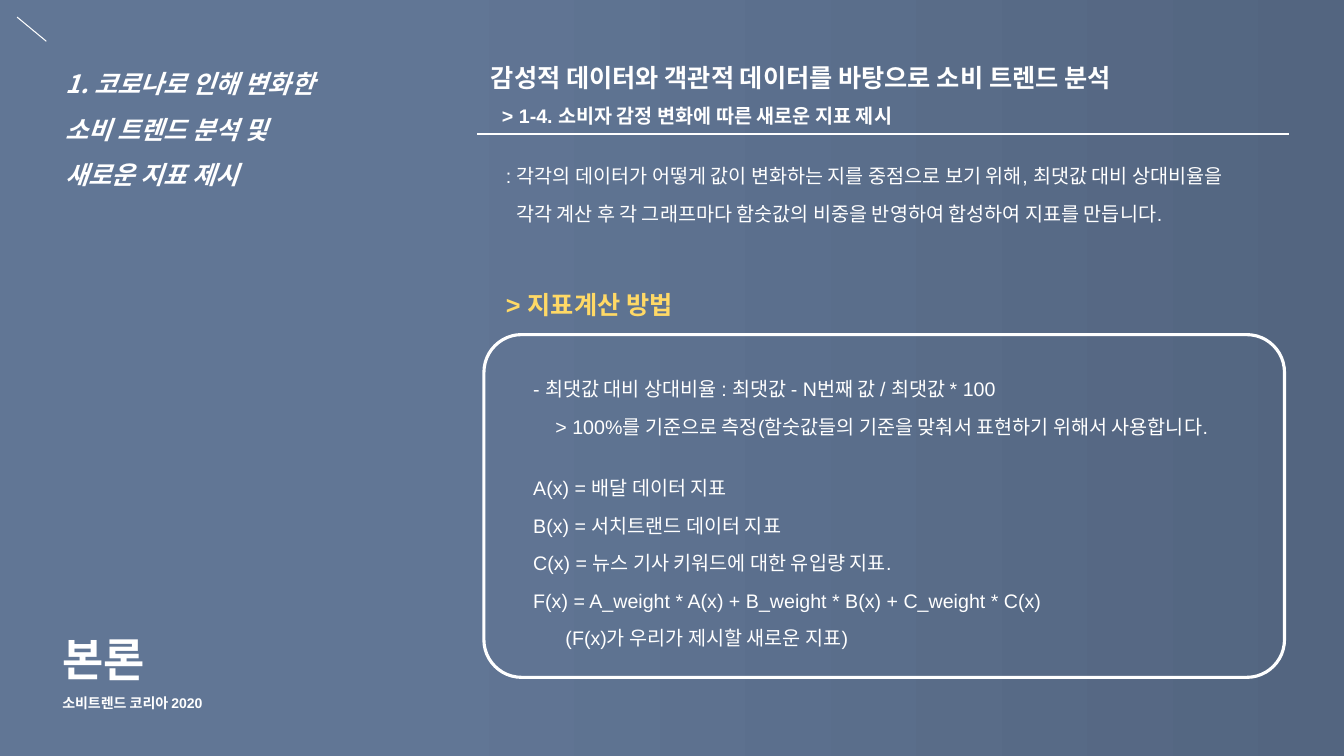
from dataclasses import dataclass

from lxml import etree
from pptx import Presentation
from pptx import util as u
from pptx.dml.color import RGBColor
from pptx.enum import shapes, text
from pptx.oxml import ns


@dataclass(frozen=True)
class Theme:
    white: RGBColor = RGBColor(0xFF, 0xFF, 0xFF)
    yellow: RGBColor = RGBColor(0xFF, 0xD9, 0x66)
    back_light: RGBColor = RGBColor(0x61, 0x76, 0x95)
    back_dark: RGBColor = RGBColor(0x53, 0x65, 0x80)
    chapter: int = 32
    heading: int = 18
    body: int = 14
    caption: int = 10
    latin: str = "Arial"
    korean: str = "Noto Sans CJK KR"


THEME = Theme()
BODY = {"size": THEME.body, "spacing": 1.6, "align": text.PP_ALIGN.JUSTIFY}
HEADING = {"size": THEME.heading, "spacing": 1.5, "bold": True}


def set_background(slide):
    fill = slide.background.fill
    fill.gradient()
    fill.gradient_angle = 0
    stops = [(0.3, THEME.back_light), (1.0, THEME.back_dark)]
    for stop, (position, color) in zip(fill.gradient_stops, stops):
        stop.position = position
        stop.color.rgb = color


def add_line(slide, start, end, width):
    points = [u.Inches(value) for value in (*start, *end)]
    line = slide.shapes.add_connector(shapes.MSO_CONNECTOR.STRAIGHT, *points)
    line.line.color.rgb = THEME.white
    line.line.width = u.Pt(width)
    etree.SubElement(line._element.spPr, ns.qn("a:effectLst"))


def add_frame(slide, box, radius, width):
    shape = slide.shapes.add_shape(
        shapes.MSO_SHAPE.ROUNDED_RECTANGLE, *map(u.Inches, box))
    shape.adjustments[0] = radius
    shape.shadow.inherit = False
    shape.fill.background()
    shape.line.color.rgb = THEME.white
    shape.line.width = u.Pt(width)


def format_run(run, style):
    values = {
        "name": style.get("font", THEME.latin),
        "size": u.Pt(style["size"]),
        "bold": style.get("bold", False),
        "italic": style.get("italic", False),
    }
    for name, value in values.items():
        setattr(run.font, name, value)
    run.font.color.rgb = style.get("color", THEME.white)
    east_asian = etree.SubElement(run.font._element, ns.qn("a:ea"))
    east_asian.set("typeface", THEME.korean)


def add_text(slide, box, lines):
    """Each line is a pair: its wording and its style."""
    frame = slide.shapes.add_textbox(*map(u.Inches, box)).text_frame
    frame.word_wrap = True
    frame.auto_size = text.MSO_AUTO_SIZE.SHAPE_TO_FIT_TEXT
    for index, (wording, style) in enumerate(lines):
        paragraph = frame.add_paragraph() if index else frame.paragraphs[0]
        paragraph.text = wording
        values = {
            "alignment": style.get("align", text.PP_ALIGN.LEFT),
            "line_spacing": style.get("spacing", 1.0),
            "space_before": u.Pt(style.get("before", 0)),
        }
        for name, value in values.items():
            setattr(paragraph, name, value)
        indent = u.Inches(style.get("indent", 0))
        paragraph._p.get_or_add_pPr().set("marL", str(indent))
        for run in paragraph.runs:
            format_run(run, style)


def main():
    presentation = Presentation()
    presentation.slide_width = u.Inches(13.33)
    presentation.slide_height = u.Inches(7.5)
    slide = presentation.slides.add_slide(presentation.slide_layouts[6])
    set_background(slide)

    # Left column: topic and chapter
    add_line(slide, (0.17, 0.17), (0.46, 0.41), 0.75)
    add_text(slide, (0.55, 0.48, 3.26, 1.41), [
        ("1. 코로나로 인해 변화한\v소비 트렌드 분석 및\v새로운 지표 제시",
         {**HEADING, "italic": True, "font": THEME.korean}),
    ])
    add_text(slide, (0.52, 6.22, 3.16, 0.87), [
        ("본론", {"size": THEME.chapter, "bold": True}),
        ("소비트렌드 코리아 2020", {**HEADING, "size": THEME.caption}),
    ])

    # Heading and introduction
    add_text(slide, (4.77, 0.42, 7.98, 0.87), [
        ("감성적 데이터와 객관적 데이터를 바탕으로 소비 트렌드 분석", HEADING),
        ("> 1-4. 소비자 감정 변화에 따른 새로운 지표 제시",
         {**HEADING, "size": THEME.body, "indent": 0.11}),
    ])
    add_line(slide, (4.73, 1.33), (12.78, 1.33), 1.5)
    add_text(slide, (4.92, 1.44, 7.86, 0.82), [
        (": 각각의 데이터가 어떻게 값이 변화하는 지를 중점으로 보기 위해, 최댓값 대비 상대비율을", BODY),
        ("각각 계산 후 각 그래프마다 함숫값의 비중을 반영하여 합성하여 지표를 만듭니다.",
         {**BODY, "indent": 0.1}),
    ])

    # Calculation method
    add_frame(slide, (4.8, 3.32, 7.94, 3.4), 0.11, 2.25)
    add_text(slide, (4.92, 2.67, 2.3, 0.51), [
        ("> 지표계산 방법", {**HEADING, "color": THEME.yellow}),
    ])
    add_text(slide, (5.19, 3.55, 7.62, 2.94), [
        ("- 최댓값 대비 상대비율 : 최댓값 - N번째 값 / 최댓값 * 100", BODY),
        ("> 100%를 기준으로 측정(함숫값들의 기준을 맞춰서 표현하기 위해서 사용합니다.",
         {**BODY, "indent": 0.22}),
        ("A(x) = 배달 데이터 지표", {**BODY, "before": 17}),
        ("B(x) = 서치트랜드 데이터 지표", BODY),
        ("C(x) = 뉴스 기사 키워드에 대한 유입량 지표.", BODY),
        ("F(x) = A_weight * A(x) + B_weight * B(x) + C_weight * C(x)", BODY),
        ("(F(x)가 우리가 제시할 새로운 지표)", {**BODY, "indent": 0.32}),
    ])

    presentation.save("out.pptx")


if __name__ == "__main__":
    main()
